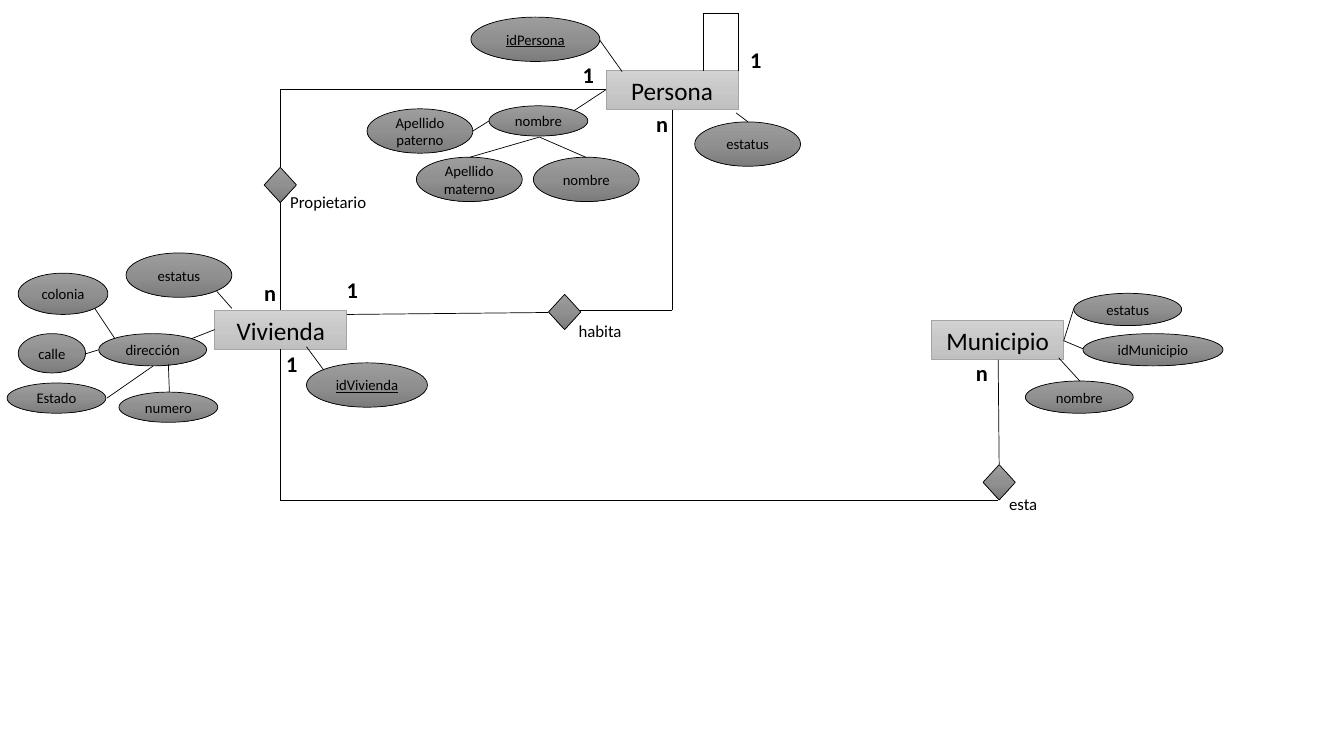
from copy import deepcopy
from dataclasses import dataclass
from itertools import pairwise

from lxml import etree
from pptx import Presentation
from pptx.dml.color import RGBColor
from pptx.enum import shapes, text
from pptx.oxml.ns import qn
from pptx.util import Inches, Pt

Kind = shapes.MSO_SHAPE


@dataclass(frozen=True)
class Theme:
    """Colours, font and type sizes of the diagram."""
    font: str = "Calibri"
    ink: str = "000000"
    edge: str = "A5A5A5"
    light: tuple = ("D2D2D2", "C8C8C8", "C0C0C0")
    dark: tuple = ("9D9D9D", "909090", "7C7C7C")
    rule: float = 0.5
    entity: float = 18
    field: float = 10.5
    role: float = 12
    count: float = 16


@dataclass(frozen=True)
class Node:
    """An entity, attribute or relation, in inches."""
    name: str
    left: float
    top: float
    wide: float
    high: float
    key: bool = False


@dataclass(frozen=True)
class Label:
    """Free text beside a link."""
    name: str
    left: float
    top: float
    wide: float


THEME = Theme()

ENTITIES = [Node(name, left, top, 1.31, 0.39) for name, left, top in (
    ("Municipio", 9.24, 3.18), ("Vivienda", 2.13, 3.08), ("Persona", 6.01, 0.7))]

RELATIONS = [Node("", left, top, 0.32, 0.35) for left, top in (
    (2.62, 1.66), (5.44, 2.92), (9.75, 4.61))]

FIELDS = [
    # Persona
    Node("idPersona", 4.67, 0.17, 1.28, 0.44, key=True),
    Node("estatus", 6.89, 1.21, 1.05, 0.44),
    Node("nombre", 4.85, 1.05, 0.98, 0.3),
    Node("Apellido paterno", 3.64, 1.08, 1.05, 0.44),
    Node("Apellido materno", 4.13, 1.56, 1.05, 0.44),
    Node("nombre", 5.29, 1.56, 1.05, 0.44),
    # Vivienda
    Node("idVivienda", 3.04, 3.6, 1.2, 0.44, key=True),
    Node("estatus", 1.25, 2.51, 1.05, 0.44),
    Node("dirección", 0.98, 3.31, 1.07, 0.32),
    Node("colonia", 0.18, 2.71, 0.89, 0.41),
    Node("calle", 0.18, 3.31, 0.67, 0.39),
    Node("Estado", 0.07, 3.8, 0.98, 0.3),
    Node("numero", 1.18, 3.89, 0.98, 0.3),
    # Municipio
    Node("estatus", 10.65, 2.91, 1.07, 0.32),
    Node("idMunicipio", 10.74, 3.31, 1.39, 0.32),
    Node("nombre", 10.17, 3.78, 1.07, 0.32),
]

ROUTES = [
    # Persona to itself
    [(6.98, 0.7), (6.98, 0.13), (7.32, 0.13), (7.32, 0.7)],
    # Propietario
    [(6.01, 0.89), (2.78, 0.89), (2.78, 1.66)],
    [(2.78, 2), (2.78, 3.08)],
    # habita
    [(6.67, 1.09), (6.67, 3.08), (5.75, 3.08)],
    [(5.44, 3.1), (3.44, 3.12)],
    # esta
    [(2.78, 3.46), (2.78, 4.96), (9.9, 4.96)],
    [(9.9, 3.57), (9.91, 4.61)],
    # Persona fields
    [(6.17, 0.71), (5.95, 0.4)],
    [(7.3, 1.12), (7.42, 1.21)],
    [(6.01, 0.89), (5.69, 1.1)],
    [(4.85, 1.2), (4.69, 1.3)],
    [(4.66, 1.56), (5.35, 1.36), (5.81, 1.56)],
    # Vivienda fields
    [(3.04, 3.44), (3.21, 3.67)],
    [(2.3, 3.06), (2.15, 2.89)],
    [(1.9, 3.36), (2.13, 3.27)],
    [(0.94, 3.06), (1.14, 3.36)],
    [(0.85, 3.51), (0.98, 3.47)],
    [(1.06, 3.95), (1.52, 3.63)],
    [(1.68, 3.89), (1.67, 3.61)],
    # Municipio fields
    [(10.65, 3.06), (10.55, 3.38), (10.74, 3.46)],
    [(10.5, 3.55), (10.71, 3.78)],
]

ROLES = [Label("Propietario", 2.78, 1.85, 0.96),
         Label("habita", 5.64, 3.13, 0.63),
         Label("esta", 9.91, 4.85, 0.49)]

COUNTS = [Label(name, left, top, 0.32) for name, left, top in (
    ("1", 5.68, 0.56), ("1", 7.34, 0.41), ("1", 2.74, 3.42), ("1", 3.34, 2.69),
    ("n", 6.41, 1.04), ("n", 2.52, 2.72), ("n", 9.58, 3.51))]


def shade(shape, tones: tuple) -> None:
    """Fill a shape with three tones from top to bottom."""
    fill = shape.fill
    fill.gradient()
    fill.gradient_angle = 270
    first = shape.element.spPr.find(".//" + qn("a:gs"))
    first.addnext(deepcopy(first))
    for stop, tone, place in zip(fill.gradient_stops, tones, (0, 0.5, 1)):
        stop.color.rgb = RGBColor.from_string(tone)
        stop.position = place


def rule(line, tone: str) -> None:
    """Set the colour and width of a line."""
    line.color.rgb = RGBColor.from_string(tone)
    line.width = Pt(THEME.rule)


def write(para, words: str, size: float, bold: bool = False, under: bool = False) -> None:
    """Add one run to a paragraph."""
    run = para.add_run()
    run.text = words
    font = run.font
    font.name, font.size = THEME.font, Pt(size)
    font.bold, font.underline = bold, under
    font.color.rgb = RGBColor.from_string(THEME.ink)


def draw(slide, node: Node, kind: Kind, tones: tuple, edge: str, size: float) -> None:
    """Draw a shaded node with its name in the middle."""
    box = (Inches(n) for n in (node.left, node.top, node.wide, node.high))
    shape = slide.shapes.add_shape(kind, *box)
    shape.shadow.inherit = False
    shade(shape, tones)
    rule(shape.line, edge)
    if node.name:
        frame = shape.text_frame
        frame.word_wrap = True
        frame.vertical_anchor = text.MSO_ANCHOR.MIDDLE
        para = frame.paragraphs[0]
        para.alignment = text.PP_ALIGN.CENTER
        write(para, node.name, size, under=node.key)


def link(slide, route: list) -> None:
    """Join the points of a route with straight lines."""
    for start, end in pairwise(route):
        ends = (Inches(n) for n in start + end)
        line = slide.shapes.add_connector(shapes.MSO_CONNECTOR.STRAIGHT, *ends)
        rule(line.line, THEME.ink)
        etree.SubElement(line.element.spPr, qn("a:effectLst"))


def tag(slide, label: Label, high: float, size: float, bold: bool) -> None:
    """Place a label in an unwrapped text box."""
    box = (Inches(n) for n in (label.left, label.top, label.wide, high))
    frame = slide.shapes.add_textbox(*box).text_frame
    frame.word_wrap = False
    frame.auto_size = text.MSO_AUTO_SIZE.SHAPE_TO_FIT_TEXT
    write(frame.paragraphs[0], label.name, size, bold)


def main() -> None:
    """Build the entity diagram and save it."""
    deck = Presentation()
    deck.slide_width, deck.slide_height = Inches(13.33), Inches(7.5)
    slide = deck.slides.add_slide(deck.slide_layouts[6])
    for nodes, kind, tones, edge, size in (
            (ENTITIES, Kind.RECTANGLE, THEME.light, THEME.edge, THEME.entity),
            (RELATIONS, Kind.DIAMOND, THEME.dark, THEME.ink, THEME.field),
            (FIELDS, Kind.OVAL, THEME.dark, THEME.ink, THEME.field)):
        for node in nodes:
            draw(slide, node, kind, tones, edge, size)
    for route in ROUTES:
        link(slide, route)
    for labels, high, size, bold in ((ROLES, 0.3, THEME.role, False),
                                     (COUNTS, 0.37, THEME.count, True)):
        for label in labels:
            tag(slide, label, high, size, bold)
    deck.save("out.pptx")


main()
